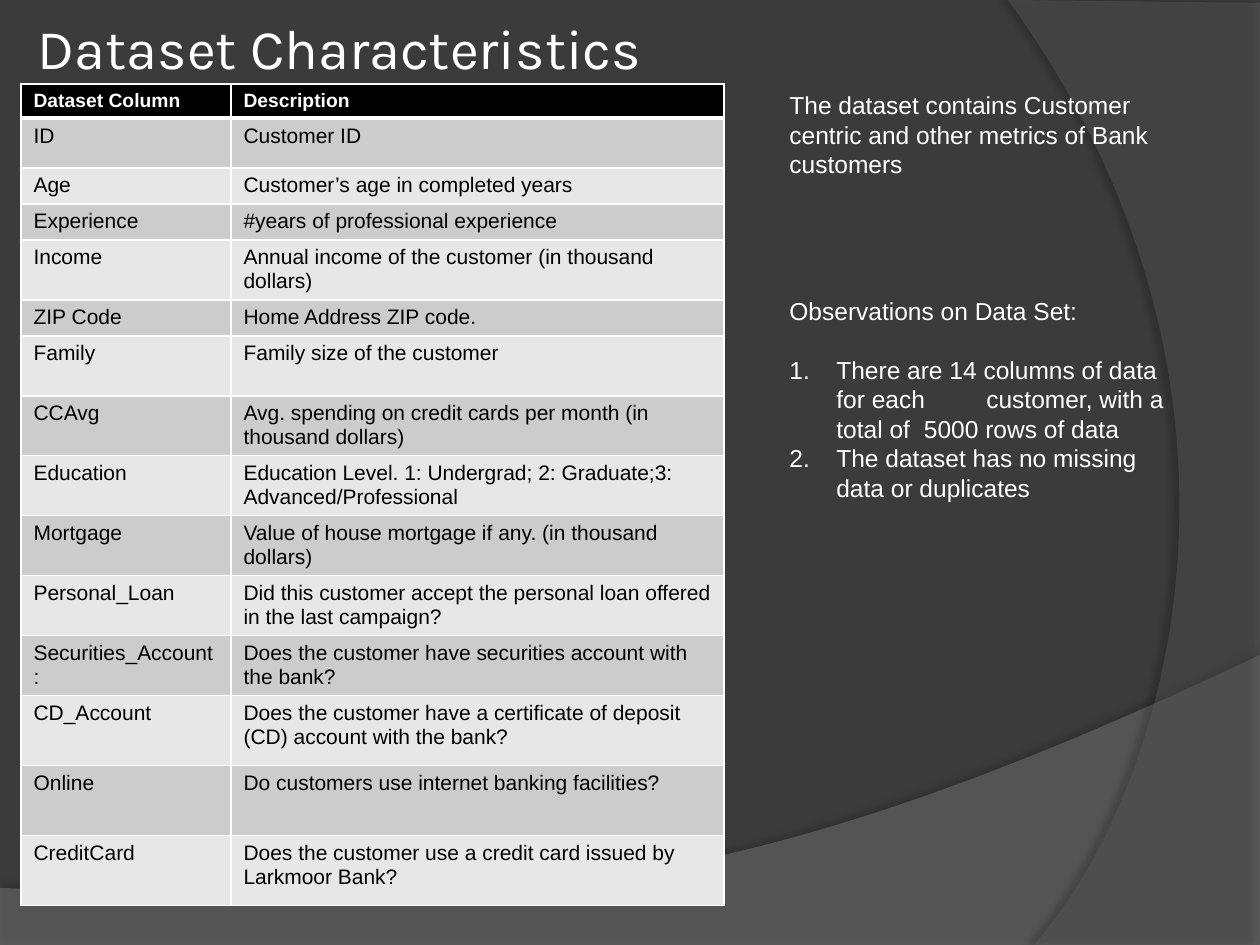
import pptx
import pptx.util
import pptx.dml.color
import pptx.enum.text
import pptx.oxml
import pptx.oxml.ns

TITLE = "Dataset Characteristics"
HEADER = ("Dataset Column", "Description")
COLUMNS = [
    ("ID", "Customer ID", 50),
    ("Age", "Customer’s age in completed years", 36),
    ("Experience", "#years of professional experience", 36),
    ("Income", "Annual income of the customer (in thousand dollars)", 60),
    ("ZIP Code", "Home Address ZIP code.", 36),
    ("Family", "Family size of the customer", 60),
    ("CCAvg", "Avg. spending on credit cards per month (in thousand dollars)", 60),
    ("Education", "Education Level. 1: Undergrad; 2: Graduate;3: Advanced/Professional", 60),
    ("Mortgage", "Value of house mortgage if any. (in thousand dollars)", 60),
    ("Personal_Loan", "Did this customer accept the personal loan offered in the last campaign?", 60),
    ("Securities_Account:", "Does the customer have securities account with the bank?", 60),
    ("CD_Account", "Does the customer have a certificate of deposit (CD) account with the bank?", 70),
    ("Online", "Do customers use internet banking facilities?", 70),
    ("CreditCard", "Does the customer use a credit card issued by Larkmoor Bank?", 70),
]
HEADER_HEIGHT = 34
COLUMN_WIDTHS = (210, 493)

NOTES = [
    {"spans": ["The dataset contains Customer centric and other metrics of Bank customers"]},
    {"spans": ["Observations on Data Set:"], "before": 67},
    {"spans": ["There are 14 columns of data for each", "customer, with a total of", "5000 rows of data"],
     "gaps": [31, 4], "before": 17, "numbered": True},
    {"spans": ["The dataset has no missing data or duplicates"], "numbered": True},
]
NUMBER_INDENT = 47

CURVES = [
    {"edge": [(0, 888), (0, 945), (1260, 945), (1260, 655)],
     "bend": [(704, 919), (493, 906), (0, 888)],
     "fill": "wave", "alpha": 45, "shadow": (35, 4, 3.5, 270)},
    {"edge": [(1260, 3), (1260, 945), (1034, 945)],
     "bend": [(1178, 780), (1283, 378), (1008, 0)],
     "fill": "arc", "alpha": 40, "shadow": (45, 4, 4, 180)},
]

THEME = {
    "background": "3B3B3B", "wave": "7F7F7F", "arc": "5E5E5E",
    "light": "FFFFFF", "dark": "000000", "bands": ("CCCCCC", "E7E7E7"),
    "title_font": "Karla", "body_font": "Arial",
    "title_size": 32, "header_size": 11, "cell_size": 12, "note_size": 14,
}
SCALE = 914400 / 126


def px(length):
    return pptx.util.Emu(round(length * SCALE))


def color(name):
    return pptx.dml.color.RGBColor.from_string(name)


def xml(text):
    return pptx.oxml.parse_xml(text.replace(" ", f" {pptx.oxml.ns.nsdecls('a')} ", 1))


def style(span, size, ink, font=THEME["body_font"], bold=False):
    span.font.size = pptx.util.Pt(size)
    span.font.name = font
    span.font.bold = bold
    span.font.color.rgb = color(ink)


def bend_last_side(shape, bend):
    curve = xml('<a:cubicBezTo />')
    for x, y in bend:
        curve.append(xml(f'<a:pt x="{px(x) - shape.left}" y="{px(y) - shape.top}"/>'))
    side = list(shape._element.iter(pptx.oxml.ns.qn("a:lnTo")))[-1]
    side.getparent().replace(side, curve)


def draw_curve(page, curve):
    points = [(px(x), px(y)) for x, y in curve["edge"] + curve["bend"][-1:]]
    builder = page.shapes.build_freeform(*points[0])
    builder.add_line_segments(points[1:], close=True)
    shape = builder.convert_to_shape()
    bend_last_side(shape, curve["bend"])
    shape.line.fill.background()
    shape.fill.solid()
    shape.fill.fore_color.rgb = color(THEME[curve["fill"]])
    ink = shape._element.spPr.find(".//" + pptx.oxml.ns.qn("a:srgbClr"))
    ink.append(xml(f'<a:alpha val="{curve["alpha"] * 1000}"/>'))
    opacity, blur, distance, angle = curve["shadow"]
    shape.shadow.inherit = False
    effects = shape._element.spPr.find(pptx.oxml.ns.qn("a:effectLst"))
    effects.append(xml(
        f'<a:outerShdw blurRad="{pptx.util.Pt(blur)}" dist="{pptx.util.Pt(distance)}" '
        f'dir="{angle * 60000}" algn="ctr" rotWithShape="0"><a:srgbClr val="{THEME["dark"]}">'
        f'<a:alpha val="{opacity * 1000}"/></a:srgbClr></a:outerShdw>'))


def add_text_box(page, left, top, width, height):
    box = page.shapes.add_textbox(px(left), px(top), px(width), px(height))
    box.text_frame.word_wrap = True
    return box.text_frame


def draw_title(page):
    frame = add_text_box(page, 32, -32, 1029, 158)
    frame.margin_left = frame.margin_right = px(6)
    frame.vertical_anchor = pptx.enum.text.MSO_ANCHOR.MIDDLE
    frame.text = TITLE
    style(frame.paragraphs[0].runs[0], THEME["title_size"], THEME["light"], THEME["title_font"])


def set_borders(cell, is_header, below_header):
    widths = {"L": 1, "R": 1, "T": 1, "B": 3 if is_header else 1}
    if below_header:
        del widths["T"]
    for side, width in widths.items():
        cell._tc.get_or_add_tcPr().append(xml(
            f'<a:ln{side} w="{pptx.util.Pt(width)}"><a:solidFill>'
            f'<a:srgbClr val="{THEME["light"]}"/></a:solidFill></a:ln{side}>'))


def draw_table(page):
    rows = [(*HEADER, HEADER_HEIGHT)] + COLUMNS
    height = sum(row[-1] for row in rows)
    table = page.shapes.add_table(
        len(rows), len(HEADER), px(21), px(84), px(sum(COLUMN_WIDTHS)), px(height)).table
    for column, width in zip(table.columns, COLUMN_WIDTHS):
        column.width = px(width)
    for index, (*texts, row_height) in enumerate(rows):
        is_header = index == 0
        table.rows[index].height = px(row_height)
        for position, text in enumerate(texts):
            cell = table.cell(index, position)
            cell.text = text
            cell.margin_top, cell.margin_bottom = px(6), px(3)
            set_borders(cell, is_header, index == 1)
            cell.fill.solid()
            cell.fill.fore_color.rgb = color(THEME["dark"] if is_header else THEME["bands"][(index - 1) % 2])
            style(cell.text_frame.paragraphs[0].runs[0],
                  THEME["header_size"] if is_header else THEME["cell_size"],
                  THEME["light"] if is_header else THEME["dark"], bold=is_header)


def draw_notes(page):
    frame = add_text_box(page, 777, 84, 420, 428)
    for index, note in enumerate(NOTES):
        para = frame.add_paragraph() if index else frame.paragraphs[0]
        para.space_before = pptx.util.Pt(note.get("before", 0))
        for position, text in enumerate(note["spans"]):
            if position:
                space = para.add_run()
                space.text = " "
                style(space, THEME["note_size"], THEME["light"])
                space.font._element.set("spc", str(note["gaps"][position - 1] * 100))
            span = para.add_run()
            span.text = text
            style(span, THEME["note_size"], THEME["light"])
        if note.get("numbered"):
            properties = para._p.get_or_add_pPr()
            properties.set("marL", str(px(NUMBER_INDENT)))
            properties.set("indent", str(-px(NUMBER_INDENT)))
            properties.append(xml('<a:buFont typeface="+mj-lt"/>'))
            properties.append(xml('<a:buAutoNum type="arabicPeriod"/>'))


def main():
    deck = pptx.Presentation()
    deck.slide_width, deck.slide_height = px(1260), px(945)
    page = deck.slides.add_slide(deck.slide_layouts[6])
    page.background.fill.solid()
    page.background.fill.fore_color.rgb = color(THEME["background"])
    for curve in CURVES:
        draw_curve(page, curve)
    draw_title(page)
    draw_table(page)
    draw_notes(page)
    deck.save("out.pptx")


if __name__ == "__main__":
    main()
